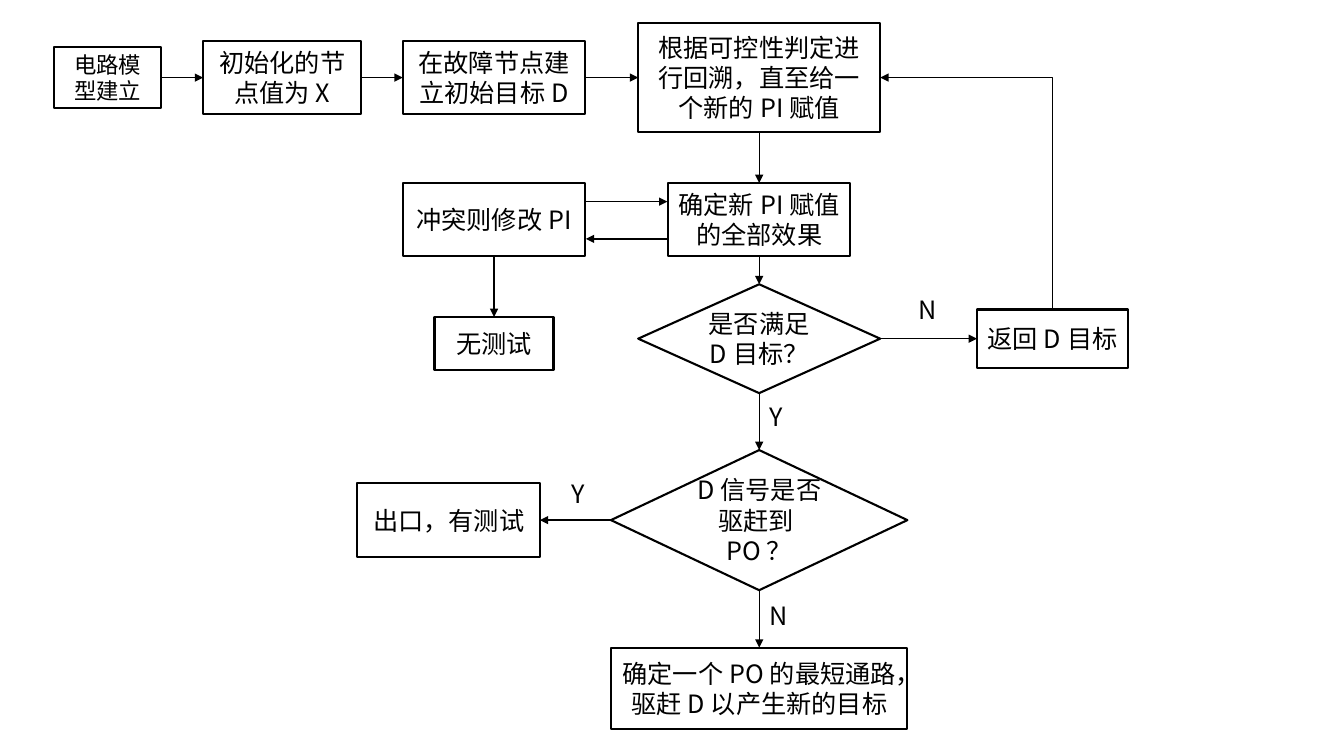
from lxml.etree import SubElement
from pptx import Presentation
from pptx.dml.color import RGBColor
from pptx.enum.shapes import MSO_CONNECTOR, MSO_SHAPE
from pptx.enum.text import MSO_ANCHOR, MSO_AUTO_SIZE, PP_ALIGN
from pptx.oxml.ns import qn
from pptx.util import Inches, Pt

COLORS = {"ink": "000000", "page": "FFFFFF"}
FONT = "Noto Sans CJK SC"
TOP, LEFT, BOTTOM, RIGHT = range(4)


def ink(name):
    return RGBColor.from_string(COLORS[name])


def write(frame, text, size=18, align=PP_ALIGN.CENTER, anchor=MSO_ANCHOR.MIDDLE):
    frame.word_wrap = True
    frame.vertical_anchor = anchor
    par = frame.paragraphs[0]
    par.alignment = align
    run = par.add_run()
    run.text = text
    run.font.size = Pt(size)
    run.font.name = FONT
    run.font.color.rgb = ink("ink")
    SubElement(run.font._element, qn("a:ea")).set("typeface", FONT)


class Chart:
    """Flow chart style and the slide being drawn."""

    border, wire = Pt(1.5), Pt(1)

    def __init__(self, slide):
        self.slide = slide
        slide.background.fill.solid()
        slide.background.fill.fore_color.rgb = ink("page")

    def box(self, text, x, y, w, h, kind=MSO_SHAPE.RECTANGLE, size=18):
        """Add a node centred on x, y."""
        node = self.slide.shapes.add_shape(
            kind, Inches(x - w / 2), Inches(y - h / 2), Inches(w), Inches(h))
        node.shadow.inherit = False
        node.fill.background()
        node.line.color.rgb = ink("ink")
        node.line.width = self.border
        write(node.text_frame, text, size=size)
        return node

    def test(self, text, x, y, w, h):
        return self.box(text, x, y, w, h, kind=MSO_SHAPE.FLOWCHART_DECISION)

    def arrow(self, x1, y1, x2, y2, kind=MSO_CONNECTOR.STRAIGHT):
        line = self.slide.shapes.add_connector(
            kind, Inches(x1), Inches(y1), Inches(x2), Inches(y2))
        line.line.color.rgb = ink("ink")
        line.line.width = self.wire
        SubElement(line.line._get_or_add_ln(), qn("a:tailEnd")).set("type", "triangle")
        SubElement(line._element.spPr, qn("a:effectLst"))
        return line

    def join(self, start, out, end, into):
        line = self.arrow(0, 0, 1, 1)
        line.begin_connect(start, out)
        line.end_connect(end, into)

    def bend(self, x1, y1, x2, y2):
        """Go straight up from x1, y1, then left to x2, y2."""
        x, y = (x1 + x2) / 2, (y1 + y2) / 2
        w, h = (y1 - y2) / 2, (x1 - x2) / 2
        line = self.arrow(x - w, y + h, x + w, y - h, MSO_CONNECTOR.ELBOW)
        props = line._element.spPr
        props.find(qn("a:xfrm")).set("rot", str(270 * 60000))
        props.find(qn("a:prstGeom")).set("prst", "bentConnector2")

    def label(self, text, x, y):
        area = self.slide.shapes.add_textbox(
            Inches(x), Inches(y), Inches(0.97), Inches(0.4))
        write(area.text_frame, text, align=PP_ALIGN.LEFT, anchor=MSO_ANCHOR.TOP)
        area.text_frame.auto_size = MSO_AUTO_SIZE.SHAPE_TO_FIT_TEXT


def main():
    deck = Presentation()
    deck.slide_width, deck.slide_height = Inches(13.33), Inches(7.5)
    flow = Chart(deck.slides.add_slide(deck.slide_layouts[6]))
    row, mid, side = 0.77, 7.53, 4.9  # top row, main column, left column
    wide, tall = 1.81, 0.73

    # Process boxes
    model = flow.box("电路模型建立", 1.07, row, 1.06, 0.6, size=16)
    init = flow.box("初始化的节点值为X", 2.8, row, 1.57, tall)
    goal = flow.box("在故障节点建立初始目标D", side, row, wide, tall)
    trace = flow.box("根据可控性判定进行回溯，直至给一个新的PI赋值", mid, row, 2.4, 1.08)
    effect = flow.box("确定新PI赋值的全部效果", mid, 2.18, wide, tall)
    change = flow.box("冲突则修改PI", side, 2.18, wide, tall)
    fail = flow.box("无测试", side, 3.41, 1.18, 0.53)
    back = flow.box("返回D目标", 10.44, 3.36, 1.5, 0.58)
    done = flow.box("出口，有测试", 4.45, 5.16, wide, tall)
    route = flow.box("确定一个PO的最短通路，驱赶D以产生新的目标", mid, 6.83, 2.94, 0.81)

    # Decisions
    met = flow.test("是否满足D目标？", mid, 3.36, 2.4, 1.08)
    driven = flow.test("D信号是否驱赶到PO？", mid, 5.16, 2.94, 1.39)

    # Arrows between nodes
    top = [model, init, goal, trace]
    for start, end in zip(top, top[1:]):
        flow.join(start, RIGHT, end, LEFT)
    main_col = [trace, effect, met, driven, route]
    for start, end in zip(main_col, main_col[1:]):
        flow.join(start, BOTTOM, end, TOP)
    flow.join(met, RIGHT, back, LEFT)
    flow.join(driven, LEFT, done, RIGHT)
    flow.join(change, BOTTOM, fail, TOP)

    # Conflict exchange and return path
    flow.arrow(5.81, 2, 6.62, 2)
    flow.arrow(6.62, 2.37, 5.81, 2.37)
    flow.bend(10.44, 3.07, 8.73, row)

    # Branch labels
    for text, x, y in [("Y", mid, 3.93), ("Y", 5.57, 4.7),
                       ("N", 9.01, 2.87), ("N", mid, 5.91)]:
        flow.label(text, x, y)

    deck.save("out.pptx")


if __name__ == "__main__":
    main()
